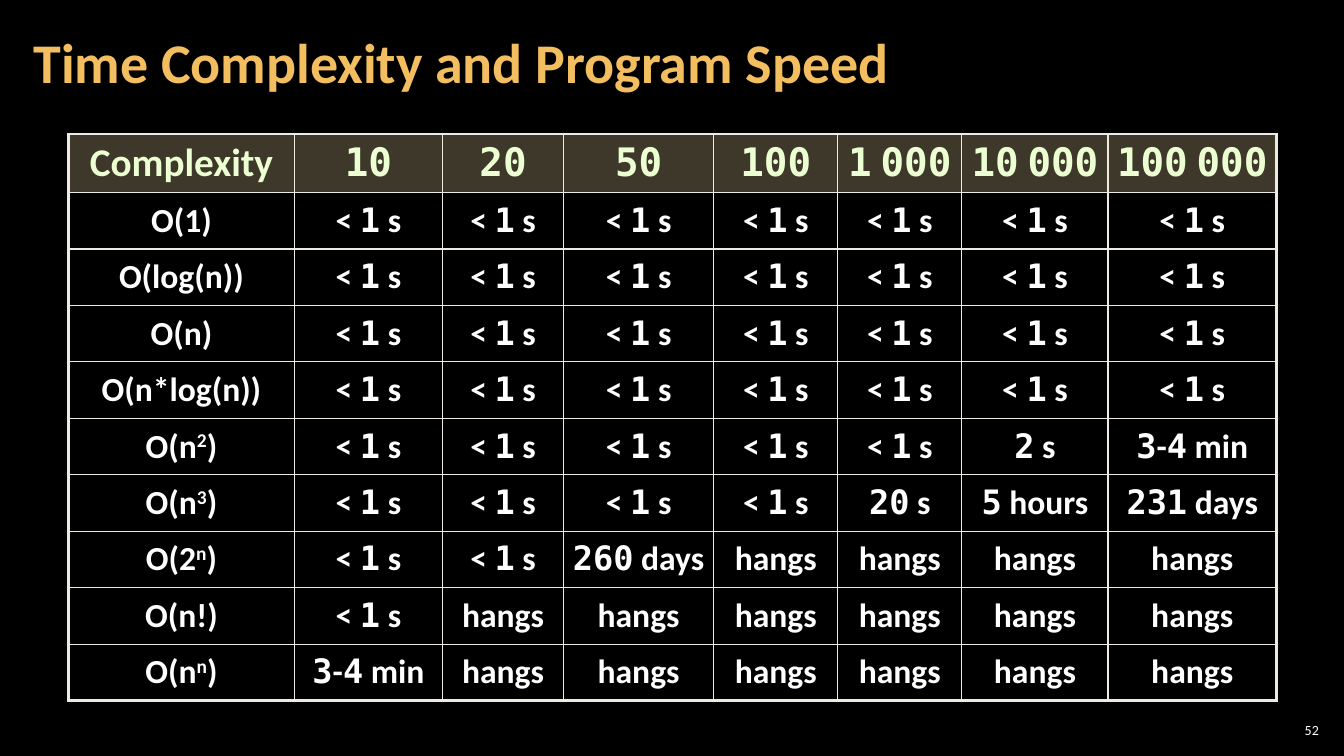
from dataclasses import dataclass
from itertools import groupby
from typing import Any

from pptx import Presentation
from pptx import util as u
from pptx.dml import color
from pptx.enum import text
from pptx.oxml import parse_xml
from pptx.oxml import ns

WIDTH, HEIGHT = u.Inches(13.33), u.Inches(7.5)
COLORS = {
    "background": "000000",
    "title": "F3BE60",
    "header": "EBFFD2",
    "header_fill": "7C7154",
    "body": "FFFFFF",
    "border": "ECEAE3",
}
WORD_FONT, DIGIT_FONT = "Calibri", "DejaVu Sans Mono"
THIN, THICK = u.Pt(1), u.Pt(2.25)
COLUMN_SHARES = [16.8, 11.03, 9, 11.18, 9.23, 9.23, 10.88, 12.53]
HEADER_SHARE, BODY_SHARE = 7.73, 7.47
FAST, HANGS = "< 1 s", "hangs"
INPUT_SIZES = ["10", "20", "50", "100", "1 000", "10 000", "100 000"]


@dataclass(frozen=True)
class Area:
    left: float
    top: float
    width: float
    height: float

    def place(self) -> dict[str, int]:
        return {
            "left": across(self.left),
            "top": down(self.top),
            "width": across(self.width),
            "height": down(self.height),
        }


@dataclass(frozen=True)
class Style:
    size: float
    color: str
    bold: bool = True


@dataclass(frozen=True)
class Growth:
    term: str
    times: list[str]
    power: str = ""


TITLE_STYLE = Style(40, "title")
HEADER_STYLE = Style(28, "header")
BODY_STYLE = Style(24, "body")
NUMBER_STYLE = Style(10, "body", False)

TITLE_AREA = Area(1.58, 0.53, 78.54, 16.13)
TABLE_AREA = Area(5.1, 17.73, sum(COLUMN_SHARES), HEADER_SHARE + 9 * BODY_SHARE)
NUMBER_AREA = Area(94.9, 95.2, 3.53, 2.8)

GROWTHS = [
    Growth("1", [FAST] * 7),
    Growth("log(n)", [FAST] * 7),
    Growth("n", [FAST] * 7),
    Growth("n*log(n)", [FAST] * 7),
    Growth("n", [FAST] * 5 + ["2 s", "3-4 min"], "2"),
    Growth("n", [FAST] * 4 + ["20 s", "5 hours", "231 days"], "3"),
    Growth("2", [FAST] * 2 + ["260 days"] + [HANGS] * 4, "n"),
    Growth("n!", [FAST] + [HANGS] * 6),
    Growth("n", ["3-4 min"] + [HANGS] * 6, "n"),
]


def across(share: float) -> int:
    return int(WIDTH * share / 100)


def down(share: float) -> int:
    return int(HEIGHT * share / 100)


def assign(target: Any, values: dict[str, Any]) -> None:
    for name, value in values.items():
        setattr(target, name, value)


def rgb(name: str) -> color.RGBColor:
    return color.RGBColor.from_string(COLORS[name])


def add_run(paragraph: Any, words: str, style: Style, font: str = WORD_FONT) -> Any:
    run = paragraph.add_run()
    run.text = words
    assign(run.font, {"name": font, "size": u.Pt(style.size), "bold": style.bold})
    run.font.color.rgb = rgb(style.color)
    return run


def add_measure(paragraph: Any, measure: str, style: Style) -> None:
    for is_digit, letters in groupby(measure, str.isdigit):
        add_run(paragraph, "".join(letters), style, DIGIT_FONT if is_digit else WORD_FONT)


def add_growth(paragraph: Any, growth: Growth) -> None:
    add_run(paragraph, f"O({growth.term}" + ("" if growth.power else ")"), BODY_STYLE)
    if growth.power:
        exponent = add_run(paragraph, growth.power, BODY_STYLE)
        exponent.font._element.set("baseline", "30000")
        add_run(paragraph, ")", BODY_STYLE)


def format_cell(cell: Any, row: int, column: int) -> Any:
    assign(cell, {
        "margin_left": u.Inches(0.07),
        "margin_right": u.Inches(0.07),
        "margin_top": 0,
        "margin_bottom": 0,
        "vertical_anchor": text.MSO_ANCHOR.MIDDLE,
    })
    properties = cell._tc.get_or_add_tcPr()
    outer_edges = {
        "L": column == 0,
        "R": column == len(INPUT_SIZES),
        "T": row == 0,
        "B": row == len(GROWTHS),
    }
    for side, is_outer in outer_edges.items():
        properties.append(parse_xml(
            f'<a:ln{side} {ns.nsdecls("a")} w="{THICK if is_outer else THIN}">'
            f'<a:solidFill><a:srgbClr val="{COLORS["border"]}"/></a:solidFill></a:ln{side}>'
        ))
    if row == 0:
        cell.fill.solid()
        cell.fill.fore_color.rgb = rgb("header_fill")
        tint = properties.find(ns.qn("a:solidFill")).find(ns.qn("a:srgbClr"))
        tint.append(parse_xml(f'<a:alpha {ns.nsdecls("a")} val="50000"/>'))
    else:
        cell.fill.background()
    paragraph = cell.text_frame.paragraphs[0]
    paragraph.alignment = text.PP_ALIGN.CENTER
    return paragraph


def add_speed_table(slide: Any) -> None:
    speeds = slide.shapes.add_table(
        len(GROWTHS) + 1, len(INPUT_SIZES) + 1, **TABLE_AREA.place()
    ).table
    assign(speeds, {"first_row": False, "horz_banding": False})
    for column, share in zip(speeds.columns, COLUMN_SHARES):
        column.width = across(share)
    for index, row in enumerate(speeds.rows):
        row.height = down(BODY_SHARE if index else HEADER_SHARE)
    for column, heading in enumerate(["Complexity", *INPUT_SIZES]):
        add_measure(format_cell(speeds.cell(0, column), 0, column), heading, HEADER_STYLE)
    for row, growth in enumerate(GROWTHS, 1):
        add_growth(format_cell(speeds.cell(row, 0), row, 0), growth)
        for column, time in enumerate(growth.times, 1):
            add_measure(format_cell(speeds.cell(row, column), row, column), time, BODY_STYLE)


def write_line(box: Any, words: str, style: Style, side_margin: float, layout: dict[str, Any]) -> None:
    assign(box.text_frame, {
        "margin_left": u.Inches(side_margin),
        "margin_right": u.Inches(side_margin),
        "margin_top": u.Inches(0.04),
        "margin_bottom": u.Inches(0.04),
        "vertical_anchor": text.MSO_ANCHOR.MIDDLE,
        "word_wrap": True,
        "auto_size": text.MSO_AUTO_SIZE.NONE,
    })
    paragraph = box.text_frame.paragraphs[0]
    assign(paragraph, layout)
    add_run(paragraph, words, style)


def main() -> None:
    deck = Presentation()
    assign(deck, {"slide_width": WIDTH, "slide_height": HEIGHT})
    slide = deck.slides.add_slide(deck.slide_layouts[5])
    slide.background.fill.solid()
    slide.background.fill.fore_color.rgb = rgb("background")
    heading = slide.shapes.title
    assign(heading, TITLE_AREA.place())
    write_line(heading, "Time Complexity and Program Speed", TITLE_STYLE, 0.12,
               {"alignment": text.PP_ALIGN.LEFT, "line_spacing": 0.9})
    add_speed_table(slide)
    page_number = slide.shapes.add_textbox(**NUMBER_AREA.place())
    write_line(page_number, "52", NUMBER_STYLE, 0.04, {"alignment": text.PP_ALIGN.RIGHT})
    deck.save("out.pptx")


if __name__ == "__main__":
    main()
